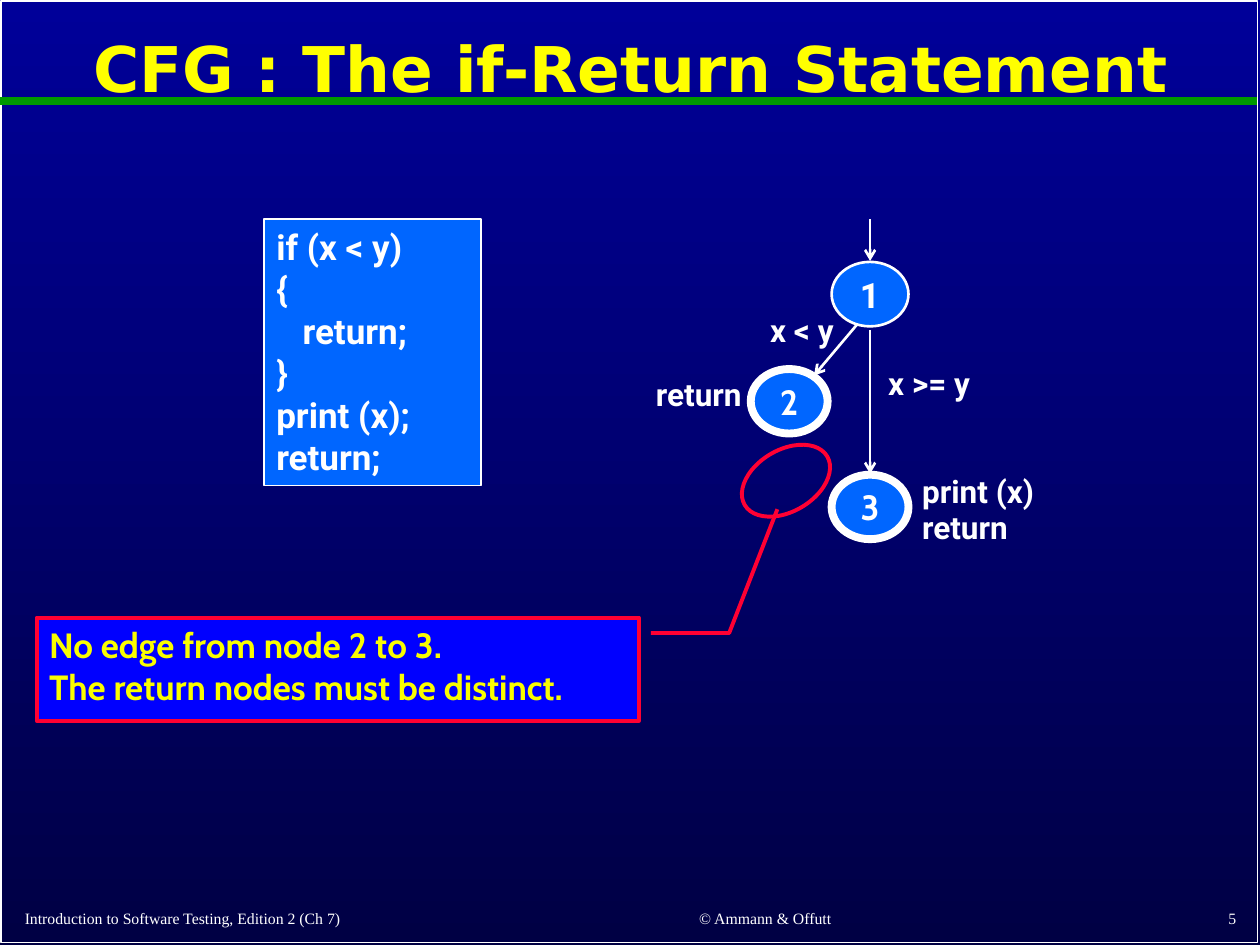
import pptx
import pptx.util
import pptx.dml.color
import pptx.enum.shapes
import pptx.enum.text
import pptx.oxml.ns
import lxml.etree

Cm, Pt = pptx.util.Cm, pptx.util.Pt
KIND = pptx.enum.shapes.MSO_SHAPE
SIDE = pptx.enum.text.PP_ALIGN
EDGE = pptx.enum.text.MSO_ANCHOR
HUES = {
    "top": "000099", "base": "000044", "white": "FFFFFF", "green": "009900",
    "title": "FFFF00", "node": "0066FF", "note": "0000FF", "red": "FF0033",
    "gold": "FAFD00",
}


def hue(name):
    """Return the named colour."""
    return pptx.dml.color.RGBColor.from_string(HUES[name])


def write(shape, lines, size, font, ink="white", side=SIDE.LEFT, edge=EDGE.TOP,
          bold=True, lead=None, gap=0, inset=None, dent=None):
    """Write lines as paragraphs; dent maps a line number to its left margin."""
    frame = shape.text_frame
    frame.word_wrap = True
    frame.vertical_anchor = edge
    if inset is not None:
        frame.margin_left = frame.margin_right = Cm(inset)
        frame.margin_top = frame.margin_bottom = Cm(inset)
    for num, line in enumerate(lines):
        para = frame.add_paragraph() if num else frame.paragraphs[0]
        para.alignment = side
        if lead:
            para.line_spacing = lead
        if num and gap:
            para.space_before = Pt(gap)
        if dent and num in dent:
            para._p.get_or_add_pPr().set("marL", str(Cm(dent[num])))
        run = para.add_run()
        run.text = line
        run.font.size = Pt(size)
        run.font.name = font
        run.font.bold = bold
        run.font.color.rgb = hue(ink)


def label(slide, box, lines, size, font, **style):
    """Add a text box."""
    shape = slide.shapes.add_textbox(*map(Cm, box))
    write(shape, lines, size, font, **style)


def block(slide, kind, box, fill, line, width):
    """Add a flat preset shape."""
    shape = slide.shapes.add_shape(kind, *map(Cm, box))
    shape.shadow.inherit = False
    if fill:
        shape.fill.solid()
        shape.fill.fore_color.rgb = hue(fill)
    else:
        shape.fill.background()
    shape.line.color.rgb = hue(line)
    shape.line.width = Pt(width)
    return shape


def link(slide, ends, ink, width, arrow=False):
    """Add a straight line, with an arrowhead at its end if asked."""
    line = slide.shapes.add_connector(
        pptx.enum.shapes.MSO_CONNECTOR.STRAIGHT, *map(Cm, ends))
    line.line.color.rgb = hue(ink)
    line.line.width = Pt(width)
    qn = pptx.oxml.ns.qn
    if arrow:
        lxml.etree.SubElement(line.line._get_or_add_ln(), qn("a:tailEnd"), type="arrow")
    lxml.etree.SubElement(line._element.spPr, qn("a:effectLst"))


def back(slide, box):
    """Place the gradient, border, rule, title and footer."""
    left, top, wide, high = box
    fill = slide.background.fill
    fill.gradient()
    fill.gradient_angle = 270
    for stop, name in zip(fill.gradient_stops, ("top", "base")):
        stop.color.rgb = hue(name)
    block(slide, KIND.RECTANGLE, (left + 0.02, top + 0.02, wide - 0.07, high - 0.07),
          None, "white", 1)
    rule = top + 2.03
    link(slide, (left, rule, left + wide - 0.07, rule), "green", 4.5)
    foot = top + high - 0.88
    for x, w, text, side in (
        (0.25, 10.44, "Introduction to Software Testing, Edition 2 (Ch 7)", SIDE.LEFT),
        (11.4, 8.05, "© Ammann & Offutt", SIDE.CENTER),
        (19.89, 5.28, "5", SIDE.RIGHT),
    ):
        label(slide, (left + x, foot, w, 0.67), [text], 9, "Times New Roman",
              side=side, edge=EDGE.MIDDLE, bold=False)
    label(slide, (left + 0.2, top + 0.28, wide - 0.38, 2.34),
          ["CFG : The if-Return Statement"], 36, "DejaVu Sans", ink="title",
          side=SIDE.CENTER, edge=EDGE.MIDDLE, lead=0.9)


def code(slide, box):
    """Place the code panel."""
    panel = block(slide, KIND.RECTANGLE, box, "node", "white", 1)
    write(panel, ["if (x < y)", "{", "return;", "}", "print (x);", "return;"],
          20, "Roboto", dent={2: 0.53})


def graph(slide, box):
    """Place the nodes, edges and labels of the flow graph."""
    left, top = box[:2]
    wide, high = 1.55, 1.3
    for text, x, y, width, font in (
        ("1", 5.24, 1.51, 1.5, "Roboto"),
        ("2", 3.61, 3.67, 4.5, "Cabin"),
        ("3", 5.24, 5.8, 4.5, "Cabin"),
    ):
        spot = (left + x - wide / 2, top + y - high / 2, wide, high)
        node = block(slide, KIND.OVAL, spot, "node", "white", width)
        write(node, [text], 20, font, side=SIDE.CENTER, edge=EDGE.MIDDLE, inset=0)
    for x1, y1, x2, y2 in (
        (5.24, 0, 5.24, 0.84), (4.97, 2.13, 4.11, 3.15), (5.24, 2.24, 5.24, 5.13),
    ):
        link(slide, (left + x1, top + y1, left + x2, top + y2), "white", 1.5, True)
    for x, y, w, h, lines, side, lead in (
        (5.07, 2.79, 2.72, 1.02, ["x >= y"], SIDE.CENTER, None),
        (2.71, 1.73, 2.31, 1.02, ["x < y"], SIDE.CENTER, None),
        (0, 3.35, 2.9, 0.64, ["return"], SIDE.RIGHT, 0.5),
        (6.04, 5.31, 2.9, 1.42, ["print (x)", "return"], SIDE.LEFT, 0.5),
    ):
        label(slide, (left + x, top + y, w, h), lines, 18, "Roboto",
              side=side, lead=lead, gap=9.5)


def note(slide, box):
    """Place the callout and the ring it points to."""
    left, top, wide, high = box
    call = block(slide, KIND.LINE_CALLOUT_2, (left, top + high - 2.08, 12.14, 2.08),
                 "note", "red", 2.25)
    for num, part in enumerate((0.15, 1.02, 0.15, 1.15, -1.05, 1.23)):
        call.adjustments[num] = part
    write(call, ["No edge from node 2 to 3.", "The return nodes must be distinct."],
          20, "Cabin", ink="gold")
    ring = block(slide, KIND.OVAL, (left + wide - 1.93, top, 1.93, 1.24),
                 None, "red", 2.25)
    ring.rotation = 329.5


def main():
    """Build the slide and save it."""
    deck = pptx.Presentation()
    deck.slide_width, deck.slide_height = Cm(25.4), Cm(19.05)
    slide = deck.slides.add_slide(deck.slide_layouts[6])
    back(slide, (0, 0, 25.4, 19.05))
    code(slide, (5.32, 4.42, 4.38, 5.37))
    graph(slide, (12.3, 4.42, 8.94, 6.73))
    note(slide, (0.74, 9.07, 16.07, 5.46))
    deck.save("out.pptx")


main()
